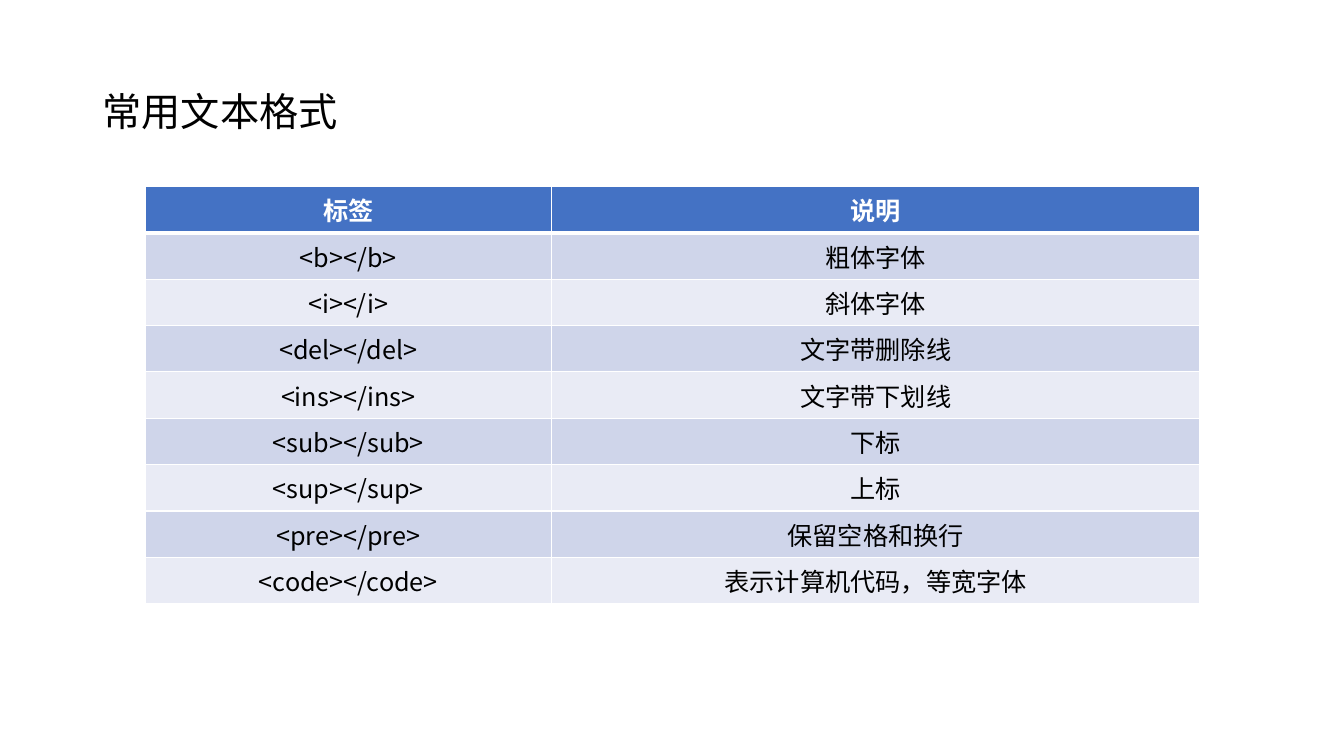
from dataclasses import dataclass

from lxml import etree
from pptx import Presentation
from pptx.dml.color import RGBColor
from pptx.enum import text as t
from pptx.oxml import ns
from pptx.util import Inches, Pt

FONT = "Noto Sans CJK SC"
BLACK = RGBColor(0x00, 0x00, 0x00)
WHITE = RGBColor(0xFF, 0xFF, 0xFF)
BLUE = RGBColor(0x44, 0x72, 0xC4)
BANDS = (RGBColor(0xCF, 0xD5, 0xEA), RGBColor(0xE9, 0xEB, 0xF5))
WIDTHS = (4.03, 6.43)
HEIGHT = 0.46


@dataclass
class Entry:
    tag: str
    note: str


HEAD = Entry("标签", "说明")
ENTRIES = [
    Entry("<b></b>", "粗体字体"),
    Entry("<i></i>", "斜体字体"),
    Entry("<del></del>", "文字带删除线"),
    Entry("<ins></ins>", "文字带下划线"),
    Entry("<sub></sub>", "下标"),
    Entry("<sup></sup>", "上标"),
    Entry("<pre></pre>", "保留空格和换行"),
    Entry("<code></code>", "表示计算机代码，等宽字体"),
]


def write(frame, words: str, size: int, color: RGBColor, bold: bool = False) -> None:
    """Fill a text frame with one styled paragraph."""
    para = frame.paragraphs[0]
    para.text = words
    font = para.font
    font.name, font.size, font.bold = FONT, Pt(size), bold
    font.color.rgb = color
    # Chinese glyphs take their typeface from a:ea
    props = para._p.pPr.find(ns.qn("a:defRPr"))
    etree.SubElement(props, ns.qn("a:ea"), typeface=FONT)


def border(cell, side: str, width: float) -> None:
    """Add a white line to one side of a cell, before its fill is set."""
    props = cell._tc.get_or_add_tcPr()
    line = etree.SubElement(props, ns.qn(f"a:ln{side}"), w=str(Pt(width)))
    fill = etree.SubElement(line, ns.qn("a:solidFill"))
    etree.SubElement(fill, ns.qn("a:srgbClr"), val=str(WHITE))


def draw_row(table, row: int, entry: Entry) -> None:
    """Draw the header (row 0) or a banded row."""
    head = row == 0
    table.rows[row].height = Inches(HEIGHT)
    for col, words in enumerate((entry.tag, entry.note)):
        cell = table.cell(row, col)
        for side in "LRTB":
            thick = (head and side == "B") or (row == 1 and side == "T")
            border(cell, side, 3 if thick else 1)
        cell.fill.solid()
        cell.fill.fore_color.rgb = BLUE if head else BANDS[(row - 1) % 2]
        write(cell.text_frame, words, 18, WHITE if head else BLACK, head)
        cell.text_frame.paragraphs[0].alignment = t.PP_ALIGN.CENTER


def main() -> None:
    deck = Presentation()
    deck.slide_width, deck.slide_height = Inches(13.33), Inches(7.5)
    slide = deck.slides.add_slide(deck.slide_layouts[6])

    # Title
    box = slide.shapes.add_textbox(Inches(0.92), Inches(0.4), Inches(11.5), Inches(1.45))
    frame = box.text_frame
    frame.word_wrap = True
    frame.vertical_anchor = t.MSO_ANCHOR.MIDDLE
    write(frame, "常用文本格式", 28, BLACK)
    frame.paragraphs[0].line_spacing = 0.9

    # Table of tags
    rows = [HEAD, *ENTRIES]
    table = slide.shapes.add_table(
        len(rows), len(WIDTHS), Inches(1.44), Inches(1.85),
        Inches(sum(WIDTHS)), Inches(HEIGHT * len(rows))).table
    for column, width in zip(table.columns, WIDTHS):
        column.width = Inches(width)
    for row, entry in enumerate(rows):
        draw_row(table, row, entry)

    deck.save("out.pptx")


if __name__ == "__main__":
    main()
